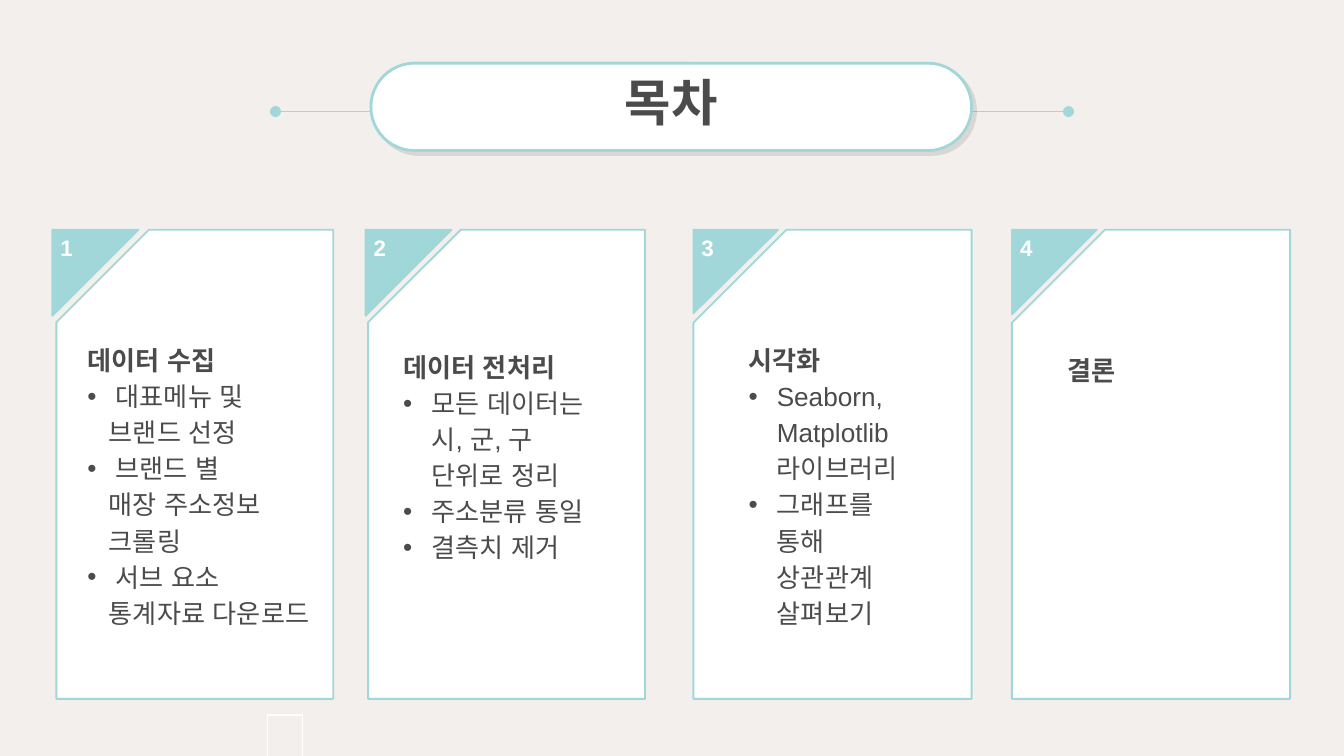
from dataclasses import dataclass

from lxml.etree import SubElement
from pptx import Presentation
from pptx.dml.color import RGBColor
from pptx.enum.lang import MSO_LANGUAGE_ID
from pptx.enum.shapes import MSO_CONNECTOR, MSO_SHAPE
from pptx.enum.text import MSO_ANCHOR, MSO_AUTO_SIZE, PP_ALIGN
from pptx.oxml.ns import qn
from pptx.shapes.base import BaseShape
from pptx.slide import Slide
from pptx.text.text import TextFrame, _Paragraph
from pptx.util import Pt

PX = 9144  # 100 px to the inch
FONT = "Arial"
COLORS = {"back": "F3EFEC", "teal": "A1D7D9", "white": "FFFFFF",
          "text": "4B4B4B", "shade": "000000"}
TOP, TALL = 171, 349


@dataclass
class Item:
    text: str
    kind: str = "bullet"  # head, bullet or more


@dataclass
class Card:
    left: int
    wide: int
    tab: tuple[int, int, int]  # left, width, height
    box: tuple[int, int, int, int]
    items: list[Item]
    pad: int = 7  # right margin of the text


CARDS = [
    Card(42, 206, (39, 64, 64), (58, 249, 199, 221), [
        Item("데이터 수집", "head"),
        Item("대표메뉴 및"), Item("브랜드 선정", "more"),
        Item("브랜드 별"), Item("매장 주소정보", "more"), Item("크롤링", "more"),
        Item("서브 요소"), Item("통계자료 다운로드", "more")]),
    Card(274, 206, (272, 64, 64), (293, 254, 178, 167), [
        Item("데이터 전처리", "head"),
        Item("모든 데이터는 시, 군, 구 단위로 정리"),
        Item("주소분류 통일"), Item("결측치 제거")], 25),
    Card(516, 207, (516, 63, 62), (550, 249, 133, 221), [
        Item("시각화", "head"),
        Item("Seaborn, Matplotlib 라이브러리"),
        Item("그래프를 통해 상관관계 살펴보기")]),
    Card(753, 207, (753, 63, 63), (787, 256, 133, 34), [
        Item("결론", "head")]),
]


def emu(*vals: int) -> list[int]:
    return [v * PX for v in vals]


def rgb(name: str) -> RGBColor:
    return RGBColor.from_string(COLORS[name])


def paint(shape: BaseShape, fill: str | None, line: str, width: float) -> None:
    shape.shadow.inherit = False
    if fill:
        shape.fill.solid()
        shape.fill.fore_color.rgb = rgb(fill)
    else:
        shape.fill.background()
    shape.line.color.rgb = rgb(line)
    shape.line.width = Pt(width)


def inset(frame: TextFrame, *sides: int) -> None:
    """Set left, top, right and bottom margins and wrap the text."""
    (frame.margin_left, frame.margin_top,
     frame.margin_right, frame.margin_bottom) = emu(*sides)
    frame.word_wrap = True


def write(para: _Paragraph, text: str, size: int, color: str, bold: bool) -> None:
    run = para.add_run()
    run.text = text
    font = run.font
    font.name, font.size, font.bold = FONT, Pt(size), bold
    font.color.rgb = rgb(color)
    font.language_id = MSO_LANGUAGE_ID.KOREAN
    SubElement(run._r.get_or_add_rPr(), qn("a:ea"), typeface=FONT)


def indent(para: _Paragraph, kind: str) -> None:
    """Give a bullet its mark and hanging indent, and further lines a margin."""
    props = para._p.get_or_add_pPr()
    if kind == "more":
        props.set("marL", str(16 * PX))
    elif kind == "bullet":
        props.set("marL", str(21 * PX))
        props.set("indent", str(-21 * PX))
        tint = SubElement(props, qn("a:buClr"))
        SubElement(tint, qn("a:srgbClr"), val=COLORS["text"])
        SubElement(props, qn("a:buFont"), typeface=FONT)
        SubElement(props, qn("a:buChar"), char="•")


def draw_rail(slide: Slide) -> None:
    rail = slide.shapes.add_connector(MSO_CONNECTOR.STRAIGHT, *emu(795, 83, 205, 83))
    rail.line.color.rgb = rgb("teal")
    rail.line.width = Pt(1)
    for end in ("a:headEnd", "a:tailEnd"):
        SubElement(rail.line._get_or_add_ln(), qn(end), type="oval")
    SubElement(rail._element.spPr, qn("a:effectLst"))


def draw_title(slide: Slide) -> None:
    pill = slide.shapes.add_shape(MSO_SHAPE.ROUNDED_RECTANGLE, *emu(276, 47, 447, 65))
    pill.adjustments[0] = 0.5
    paint(pill, "white", "teal", 1.5)
    effects = pill._element.spPr.find(qn("a:effectLst"))
    shade = SubElement(effects, qn("a:outerShdw"), blurRad="0", dist=str(Pt(3)),
                       dir=str(45 * 60000), algn="tl", rotWithShape="0")
    tint = SubElement(shade, qn("a:srgbClr"), val=COLORS["shade"])
    SubElement(tint, qn("a:alpha"), val="9000")
    frame = pill.text_frame
    inset(frame, 7, 4, 7, 12)
    frame.vertical_anchor = MSO_ANCHOR.MIDDLE
    para = frame.paragraphs[0]
    para.alignment = PP_ALIGN.CENTER
    write(para, "목차", 27, "text", True)


def draw_tab(slide: Slide, card: Card, num: int) -> None:
    left, wide, tall = card.tab
    pen = slide.shapes.build_freeform(left, TOP, scale=PX)
    pen.add_line_segments([(left + wide, TOP), (left, TOP + tall)], close=True)
    tab = pen.convert_to_shape()
    paint(tab, "teal", "teal", 1)
    inset(tab.text_frame, 6, 3, 18, 24)
    tab.text_frame.vertical_anchor = MSO_ANCHOR.TOP
    para = tab.text_frame.paragraphs[0]
    para.alignment = PP_ALIGN.LEFT
    write(para, str(num), 12, "white", True)


def draw_list(slide: Slide, card: Card) -> None:
    frame = slide.shapes.add_textbox(*emu(*card.box)).text_frame
    inset(frame, 7, 4, card.pad, 4)
    frame.auto_size = MSO_AUTO_SIZE.SHAPE_TO_FIT_TEXT
    for i, item in enumerate(card.items):
        para = frame.add_paragraph() if i else frame.paragraphs[0]
        indent(para, item.kind)
        para.line_spacing = 1.15
        write(para, item.text, 14, "text", item.kind == "head")


def draw_card(slide: Slide, card: Card, num: int) -> None:
    panel = slide.shapes.add_shape(MSO_SHAPE.SNIP_1_RECTANGLE,
                                   *emu(card.left, TOP, card.wide, TALL))
    panel.adjustments[0] = 0.334
    panel._element.spPr.find(qn("a:xfrm")).set("flipH", "1")
    paint(panel, "white", "teal", 1)
    draw_tab(slide, card, num)
    draw_list(slide, card)


def main() -> None:
    deck = Presentation()
    deck.slide_width = 1000 * PX
    deck.slide_height = deck.slide_width * 9 // 16
    slide = deck.slides.add_slide(deck.slide_layouts[6])
    slide.background.fill.solid()
    slide.background.fill.fore_color.rgb = rgb("back")
    frame = slide.shapes.add_shape(MSO_SHAPE.RECTANGLE, *emu(199, 532, 26, 32))
    paint(frame, None, "white", 0.75)
    draw_rail(slide)
    draw_title(slide)
    for num, card in enumerate(CARDS, 1):
        draw_card(slide, card, num)
    deck.save("out.pptx")


if __name__ == "__main__":
    main()
